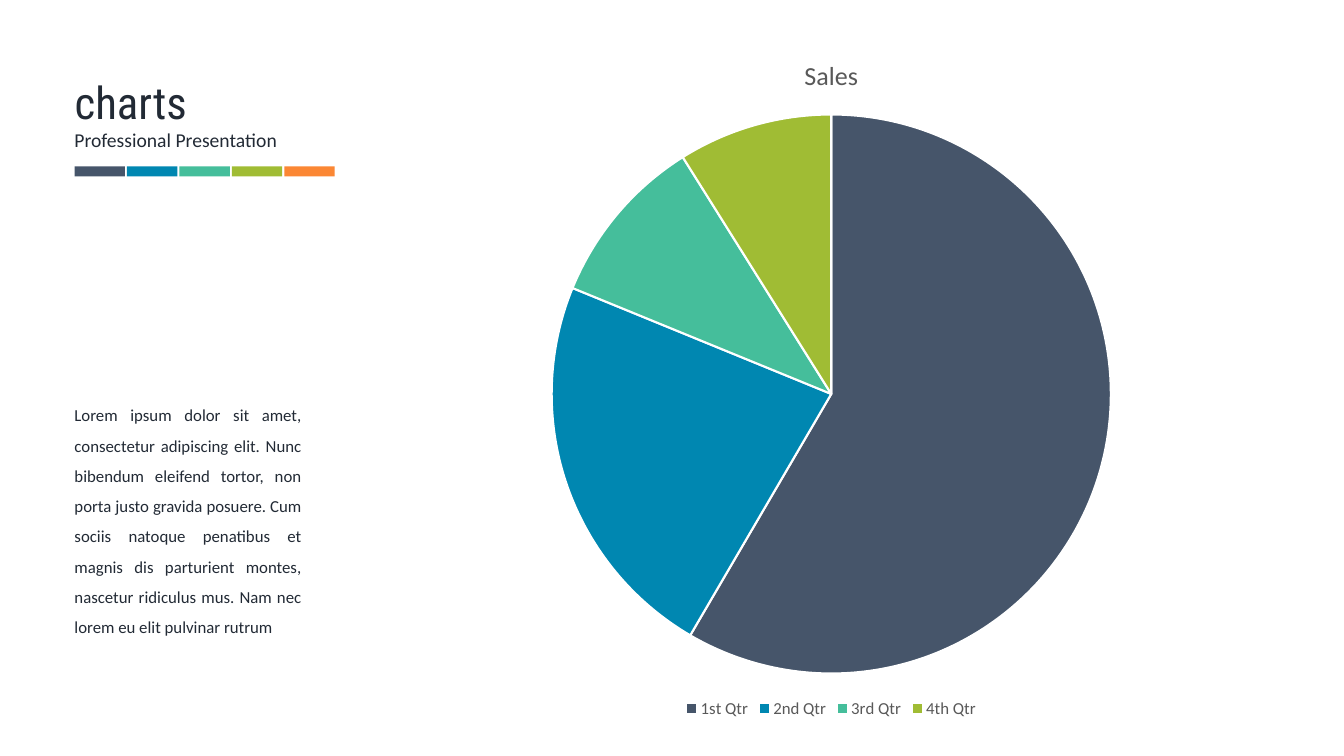
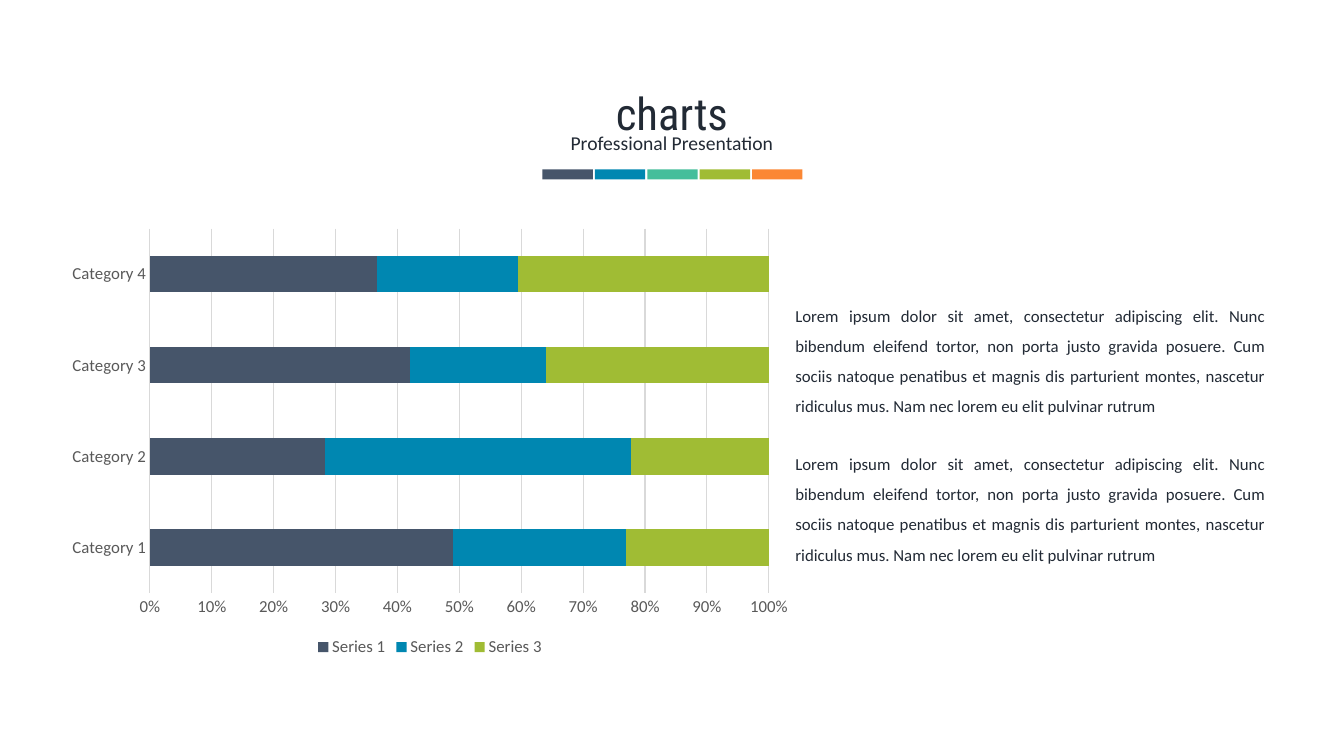
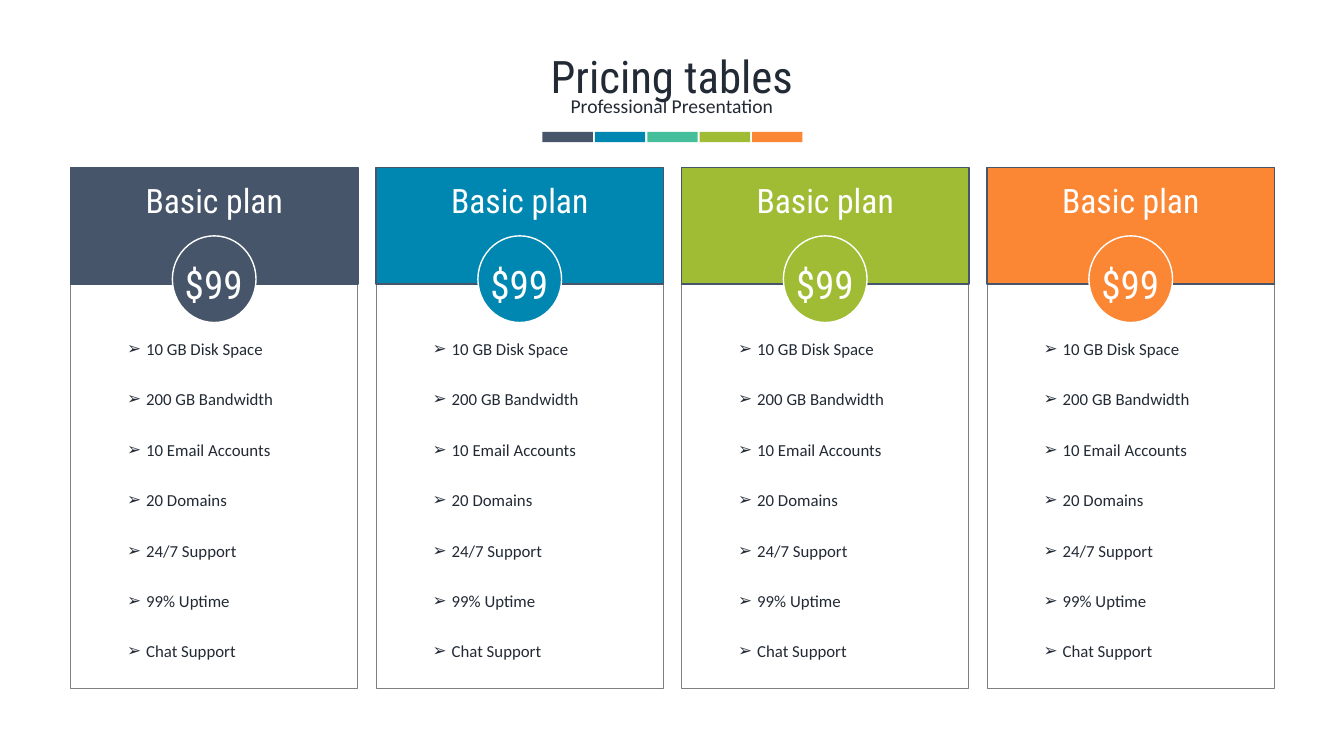
import pptx
import pptx.chart.data
import pptx.dml.color
import pptx.enum.chart
import pptx.enum.shapes
import pptx.enum.text
import pptx.oxml.ns
import pptx.util
from lxml import etree

Inches = pptx.util.Inches
Pt = pptx.util.Pt
Align = pptx.enum.text.PP_ALIGN
Shape = pptx.enum.shapes.MSO_SHAPE
ChartType = pptx.enum.chart.XL_CHART_TYPE

SLATE, BLUE, TEAL, GREEN, ORANGE = "46556A", "0087B1", "45BE9B", "A0BC34", "FB8734"
PALETTE = [SLATE, BLUE, TEAL, GREEN, ORANGE]
INK, GREY, FRAME, GRID, WHITE = "222A35", "595959", "808080", "D9D9D9", "FFFFFF"
BODY_FONT, HEAD_FONT = "Calibri", "Roboto Condensed"
TITLE_ONLY, COMPARISON = 5, 4

SUBTITLE = "Professional Presentation"
LOREM = (
    "Lorem ipsum dolor sit amet, consectetur adipiscing elit. Nunc bibendum "
    "eleifend tortor, non porta justo gravida posuere. Cum sociis natoque penatibus "
    "et magnis dis parturient montes, nascetur ridiculus mus. Nam nec lorem eu elit "
    "pulvinar rutrum"
)
FEATURES = [
    "10 GB Disk Space", "200 GB Bandwidth", "10 Email Accounts", "20 Domains",
    "24/7 Support", "99% Uptime", "Chat Support",
]


def colour(code):
    return pptx.dml.color.RGBColor.from_string(code)


def place(item, left, top, width, height):
    item.left, item.top = Inches(left), Inches(top)
    item.width, item.height = Inches(width), Inches(height)


def style_font(font, size, code, name=BODY_FONT):
    font.size, font.name, font.bold = Pt(size), name, False
    font.color.rgb = colour(code)


def add_bullet(para):
    properties = para._p.get_or_add_pPr()
    properties.set("marL", str(Inches(0.19)))
    properties.set("indent", str(Inches(-0.19)))
    bullet = etree.SubElement(properties, pptx.oxml.ns.qn("a:buChar"))
    bullet.set("char", "➢")


def write(box, lines, size=12, code=INK, name=BODY_FONT, align=Align.LEFT,
          spacing=1, bulleted=False):
    frame = box.text_frame
    frame.text = "\n".join(lines)
    frame.word_wrap = True
    frame.vertical_anchor = pptx.enum.text.MSO_ANCHOR.TOP
    frame.auto_size = pptx.enum.text.MSO_AUTO_SIZE.SHAPE_TO_FIT_TEXT
    for para in frame.paragraphs:
        if bulleted:
            add_bullet(para)
        para.alignment, para.line_spacing, para.space_before = align, spacing, Pt(0)
        style_font(para.font, size, code, name)


def add_text(page, bounds, text, **style):
    box = page.shapes.add_textbox(*map(Inches, bounds))
    write(box, [text], **style)


def add_block(page, kind, bounds, fill=None, line=None, weight=1):
    block = page.shapes.add_shape(kind, *map(Inches, bounds))
    block.shadow.inherit = False
    if fill:
        block.fill.solid()
        block.fill.fore_color.rgb = colour(fill)
    else:
        block.fill.background()
    if line:
        block.line.color.rgb = colour(line)
        block.line.width = Pt(weight)
    else:
        block.line.fill.background()


def add_heading(page, title, title_box, subtitle_box, bar_left, align):
    place(page.shapes.title, *title_box)
    write(page.shapes.title, [title], size=32, name=HEAD_FONT, align=align)
    add_text(page, subtitle_box, SUBTITLE, size=14, align=align)
    for index, code in enumerate(PALETTE):
        swatch = (bar_left + index * 0.52, subtitle_box[1] + 0.43, 0.5, 0.1)
        add_block(page, Shape.RECTANGLE, swatch, fill=code)


def add_centred_heading(page, title, top):
    add_heading(page, title, (0, top, 13.33, 0.64), (0.68, top + 0.45, 11.97, 0.34),
                5.38, Align.CENTER)


def add_chart(page, kind, bounds, categories, series):
    data = pptx.chart.data.CategoryChartData()
    data.categories = categories
    for name, values in series:
        data.add_series(name, values)
    chart = page.shapes.add_chart(kind, *map(Inches, bounds), data).chart
    style_font(chart.font, 12, GREY)
    chart.has_legend = True
    chart.legend.position = pptx.enum.chart.XL_LEGEND_POSITION.BOTTOM
    chart.legend.include_in_layout = False
    style_font(chart.legend.font, 12, GREY)
    return chart


def add_sales_pie(page, bounds):
    quarters = ["1st Qtr", "2nd Qtr", "3rd Qtr", "4th Qtr"]
    chart = add_chart(page, ChartType.PIE, bounds, quarters, [("Sales", [59, 23, 10, 9])])
    chart.has_title = True
    chart.chart_title.include_in_layout = False
    chart.chart_title.text_frame.text = "Sales"
    style_font(chart.chart_title.text_frame.paragraphs[0].font, 18.6, GREY)
    chart.plots[0].vary_by_categories = True
    for index in range(len(quarters)):
        wedge = chart.plots[0].series[0].points[index].format
        wedge.fill.solid()
        wedge.fill.fore_color.rgb = colour(PALETTE[index])
        wedge.line.color.rgb = colour(WHITE)
        wedge.line.width = Pt(1.5)


def add_share_bars(page, bounds):
    series = [
        ("Series 1", [49, 28, 42, 37]),
        ("Series 2", [28, 49, 22, 23]),
        ("Series 3", [23, 22, 36, 41]),
    ]
    categories = [f"Category {number}" for number in range(1, 5)]
    chart = add_chart(page, ChartType.BAR_STACKED_100, bounds, categories, series)
    chart.has_title = False
    plot = chart.plots[0]
    plot.gap_width, plot.overlap, plot.vary_by_categories = 150, 100, False
    for bars, code in zip(plot.series, [SLATE, BLUE, GREEN]):
        bars.format.fill.solid()
        bars.format.fill.fore_color.rgb = colour(code)
    for axis in (chart.category_axis, chart.value_axis):
        axis.major_tick_mark = pptx.enum.chart.XL_TICK_MARK.NONE
        axis.format.line.fill.background()
        style_font(axis.tick_labels.font, 12, GREY)
    axis = chart.value_axis
    axis.tick_labels.number_format = "0%"
    axis.tick_labels.number_format_is_linked = False
    axis.has_major_gridlines = True
    axis.major_gridlines.format.line.color.rgb = colour(GRID)
    axis.major_gridlines.format.line.width = Pt(0.75)


def add_plan(page, features, left, top, code):
    width = 2.85
    add_block(page, Shape.RECTANGLE, (left, top + 0.79, width, 4.38), line=FRAME, weight=0)
    place(features, left + 0.46, top + 1.35, 1.93, 3.64)
    write(features, FEATURES, spacing=2.5, bulleted=True)
    add_block(page, Shape.RECTANGLE, (left, top, width, 1.16), fill=code, line=SLATE)
    label = {"code": WHITE, "name": HEAD_FONT, "align": Align.CENTER}
    add_text(page, (left, top + 0.08, width, 0.5), "Basic plan", size=24, **label)
    add_block(page, Shape.OVAL, (left + 1.01, top + 0.68, 0.83, 0.86), fill=code, line=WHITE)
    add_text(page, (left + 0.61, top + 0.87, 1.62, 0.57), "$99", size=28, **label)


def new_page(deck, layout):
    return deck.slides.add_slide(deck.slide_layouts[layout])


def build_pie_page(deck):
    page = new_page(deck, TITLE_ONLY)
    add_sales_pie(page, (3.16, 0.33, 10.17, 6.84))
    add_text(page, (0.64, 3.87, 2.45, 2.52), LOREM, align=Align.JUSTIFY, spacing=1.5)
    add_heading(page, "charts", (0.64, 0.69, 6.42, 0.64), (0.64, 1.22, 5.73, 0.34),
                0.74, Align.LEFT)


def build_bar_page(deck):
    page = new_page(deck, TITLE_ONLY)
    add_centred_heading(page, "charts", 0.8)
    add_share_bars(page, (0.57, 2.18, 7.39, 4.38))
    for top in (2.88, 4.35):
        add_text(page, (7.79, top, 4.86, 1.31), LOREM, align=Align.JUSTIFY, spacing=1.5)


def build_pricing_page(deck):
    page = new_page(deck, COMPARISON)
    add_centred_heading(page, "Pricing tables", 0.43)
    lists = list(page.placeholders)[1:5]
    for index, code in enumerate([SLATE, BLUE, GREEN, ORANGE]):
        add_plan(page, lists[index], 0.7 + index * 3.03, 1.66, code)


def main():
    deck = pptx.Presentation()
    deck.slide_width, deck.slide_height = Inches(13.33), Inches(7.5)
    build_pie_page(deck)
    build_bar_page(deck)
    build_pricing_page(deck)
    deck.save("out.pptx")


if __name__ == "__main__":
    main()
